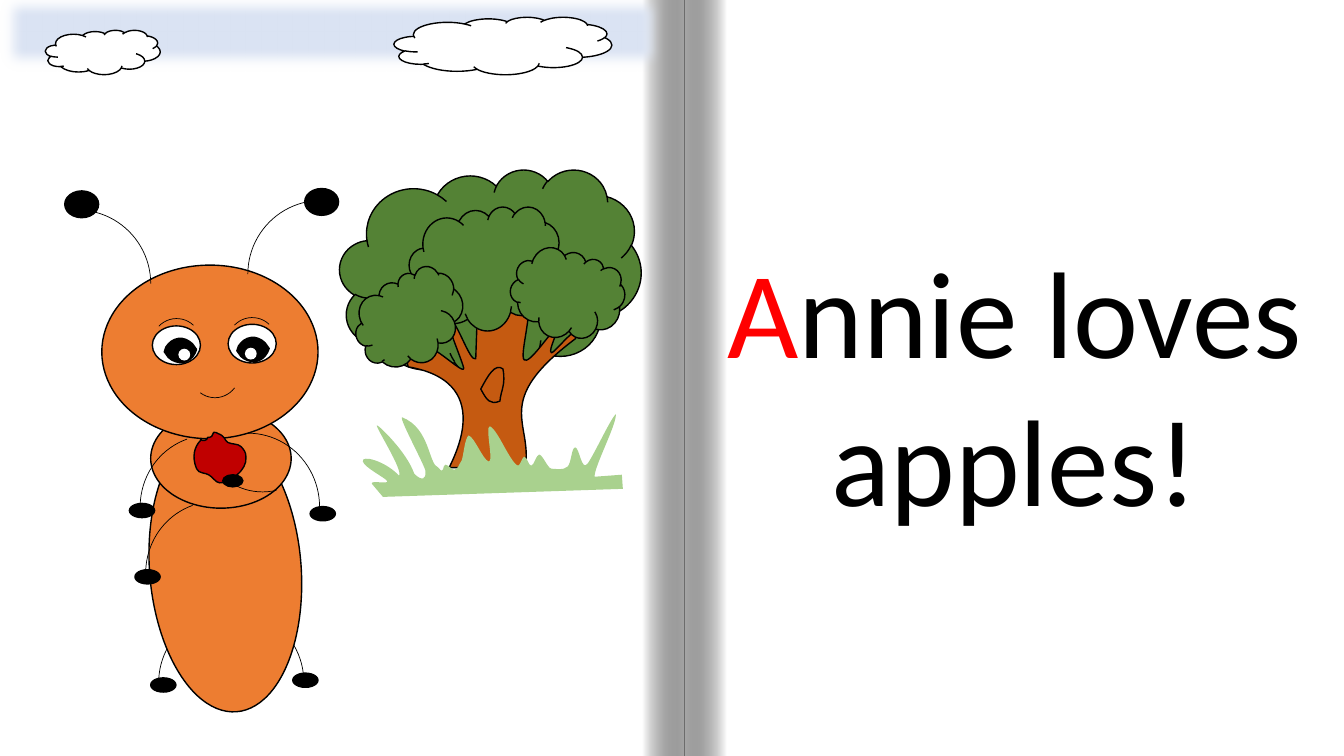
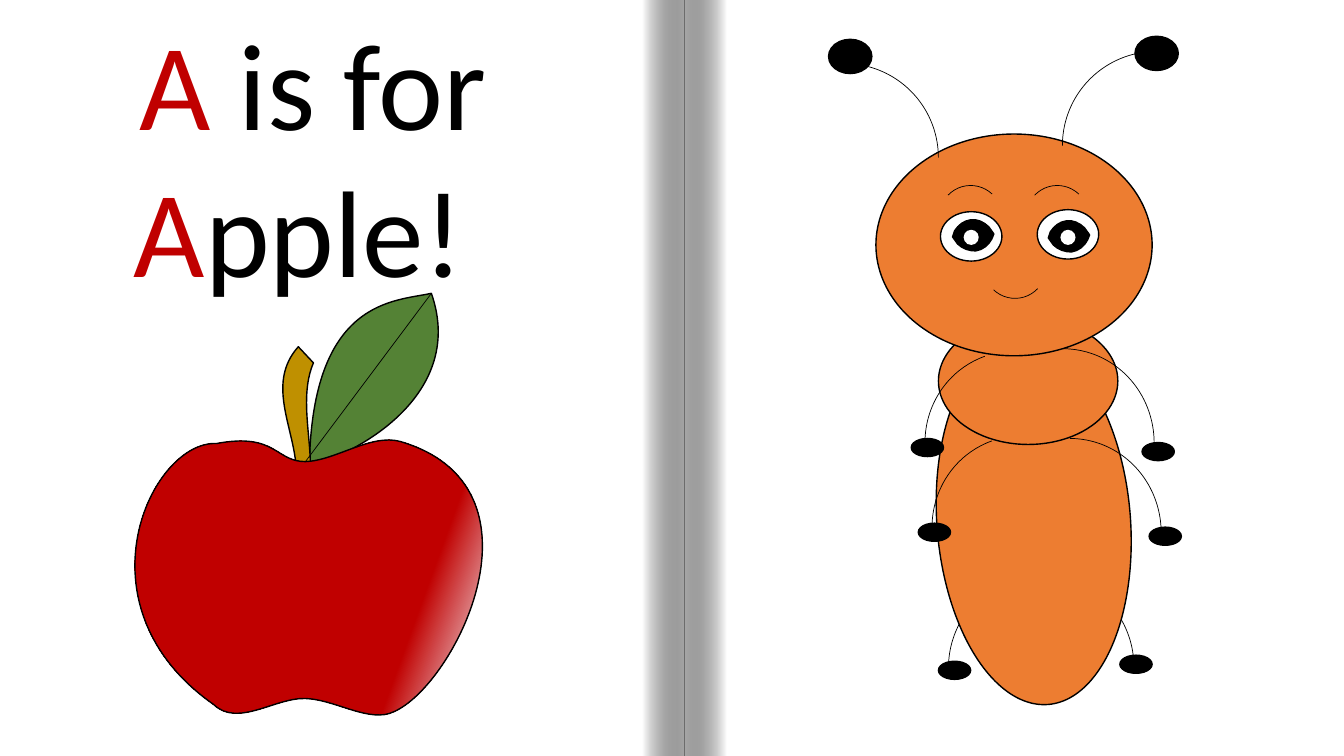
import math
import pptx
import pptx.util
import pptx.dml.color
import pptx.enum.shapes
import pptx.enum.text
import pptx.oxml
import pptx.oxml.ns

Inches = pptx.util.Inches
Pt = pptx.util.Pt
qn = pptx.oxml.ns.qn
PRESET = pptx.enum.shapes.MSO_SHAPE

COLOURS = {
    "white": "FFFFFF", "black": "000000", "letter": "FF0000", "apple": "C00000",
    "shine": "F6F8FC", "ant": "ED7D31", "leaf": "548235", "bark": "C55A11",
    "stem": "BF9000", "grass": "A9D18E", "sky": "DAE3F3",
}

# Outlines in inches: pairs are corners, sixes are curves (two handles, end)
TRUNK = [
    (4.74, 2.98), (5.21, 2.98), (5.31, 3.01, 5.15, 3.52, 5.2, 3.57),
    (5.25, 3.62, 5.44, 3.32, 5.5, 3.28), (5.57, 3.24, 5.43, 3.48, 5.47, 3.5),
    (5.5, 3.51, 5.77, 3.15, 5.71, 3.36), (4.87, 3.99, 5.29, 4.19, 5.21, 4.64),
    (4.46, 4.64), (4.42, 4.67, 4.99, 3.8, 4.05, 3.64),
    (4, 3.45, 4.11, 3.47, 4.18, 3.47), (4.2, 3.31, 4.62, 3.75, 4.6, 3.65),
    (4.58, 3.56, 4.41, 3.18, 4.46, 3.18), (4.52, 3.14, 4.66, 3.6, 4.72, 3.56),
    (4.74, 2.98),
]
KNOT = [
    (4.77, 3.86), (4.84, 3.73, 4.91, 3.6, 4.99, 3.66),
    (5.02, 3.82, 4.97, 3.87, 4.96, 3.98), (4.86, 4.02, 4.83, 3.97, 4.77, 3.86),
]
GRASS = [
    (3.69, 4.8), (3.67, 4.76, 3.87, 4.81, 3.84, 4.77),
    (3.82, 4.74, 3.62, 4.64, 3.6, 4.58), (3.58, 4.51, 3.82, 4.57, 3.96, 4.72),
    (4, 4.66, 3.72, 4.23, 3.74, 4.22), (3.76, 4.22, 4.04, 4.49, 4.11, 4.7),
    (4.19, 4.78, 4.23, 4.75, 4.22, 4.68), (4.25, 4.68, 3.95, 4.14, 3.99, 4.14),
    (4.27, 4.25, 4.25, 4.61, 4.35, 4.64), (4.41, 4.72, 4.39, 4.61, 4.42, 4.61),
    (4.45, 4.61, 4.49, 4.67, 4.51, 4.66), (4.55, 4.65, 4.55, 4.61, 4.58, 4.57),
    (4.6, 4.52, 4.61, 4.35, 4.65, 4.32), (4.71, 4.34, 4.79, 4.56, 4.85, 4.58),
    (4.9, 4.58, 4.81, 4.23, 4.86, 4.23), (4.94, 4.26, 5.06, 4.59, 5.14, 4.62),
    (5.16, 4.62, 5.18, 4.54, 5.2, 4.53), (5.24, 4.54, 5.24, 4.62, 5.27, 4.62),
    (5.3, 4.62, 5.32, 4.51, 5.35, 4.51), (5.39, 4.52, 5.43, 4.64, 5.47, 4.65),
    (5.51, 4.65, 5.59, 4.67, 5.63, 4.63), (5.67, 4.6, 5.67, 4.43, 5.71, 4.44),
    (5.75, 4.45, 5.77, 4.68, 5.83, 4.6), (5.89, 4.52, 6.06, 4.15, 6.11, 4.11),
    (6.12, 4.21, 5.89, 4.64, 5.9, 4.73), (6.17, 4.71), (6.18, 4.85), (3.8, 4.93),
    (3.69, 4.8),
]
BITTEN_APPLE = [
    (2.44, 4.53), (2.46, 4.67, 2.26, 4.8, 2.18, 4.79),
    (2.14, 4.79, 2.11, 4.73, 2.07, 4.71), (2.04, 4.69, 1.97, 4.7, 1.95, 4.65),
    (1.9, 4.53, 1.93, 4.43, 1.99, 4.37), (1.99, 4.36), (2.01, 4.37),
    (2.03, 4.37, 2.04, 4.37, 2.05, 4.36), (2.06, 4.34), (2.06, 4.34),
    (2.07, 4.34, 2.09, 4.34, 2.1, 4.33), (2.12, 4.29), (2.12, 4.29),
    (2.14, 4.29, 2.15, 4.29, 2.16, 4.3), (2.24, 4.33, 2.22, 4.36, 2.26, 4.39),
    (2.3, 4.41, 2.36, 4.4, 2.39, 4.43), (2.42, 4.46, 2.44, 4.49, 2.44, 4.53),
]
LEAF = [
    (3.07, 4.61), (3.1, 2.96, 3.92, 2.99, 4.28, 2.91),
    (4.65, 3.97, 3.41, 4.56, 3.07, 4.61),
]
STEM = [
    (2.96, 3.44), (3.11, 3.6), (2.97, 3.93, 3.09, 4.33, 3.08, 4.69),
    (2.94, 4.71), (2.95, 4.29, 2.62, 3.82, 2.96, 3.44),
]
APPLE = [
    (2.15, 4.4), (2.74, 4.29, 2.73, 4.58, 3.03, 4.58),
    (3.33, 4.57, 3.68, 4.3, 3.97, 4.38), (5.5, 4.83, 4.52, 6.79, 3.91, 7.06),
    (3.67, 7.18, 3.33, 6.94, 3.03, 6.93), (2.73, 6.92, 2.36, 7.22, 2.12, 6.99),
    (0.72, 6.01, 1.5, 4.37, 2.15, 4.4),
]
# Measured from the pupil's left corner
PUPIL = [
    (0, 0), (0.02, -0.06), (0.06, -0.12, 0.11, -0.16, 0.18, -0.17),
    (0.24, -0.18, 0.31, -0.15, 0.36, -0.1), (0.41, -0.03), (0.39, 0.02),
    (0.36, 0.08, 0.3, 0.13, 0.23, 0.14), (0.17, 0.14, 0.1, 0.12, 0.05, 0.07), (0, 0),
]


class Book:
    """Style and current spread of the picture book."""
    font, size = "Calibri", 88

    def __init__(self):
        self.deck = pptx.Presentation()
        self.deck.slide_width, self.deck.slide_height = Inches(40 / 3), Inches(7.5)
        self.slide = None

    def colour(self, name):
        return pptx.dml.color.RGBColor.from_string(COLOURS[name])

    def paint(self, shape, fill, line, width=1):
        shape.shadow.inherit = False
        if fill:
            shape.fill.solid()
            shape.fill.fore_color.rgb = self.colour(fill)
        else:
            shape.fill.background()
        if line:
            shape.line.color.rgb = self.colour(line)
            shape.line.width = Pt(width)
        else:
            shape.line.fill.background()
        return shape

    def gradient(self, shape, stops, angle):
        marks = "".join(
            f'<a:gs pos="{pos * 1000}"><a:srgbClr val="{COLOURS[name]}">'
            f'<a:alpha val="{alpha * 1000}"/></a:srgbClr></a:gs>'
            for pos, name, alpha in stops)
        blend = pptx.oxml.parse_xml(
            f'<a:gradFill {pptx.oxml.ns.nsdecls("a")} rotWithShape="1"><a:gsLst>{marks}'
            f'</a:gsLst><a:lin ang="{angle * 60000}" scaled="0"/></a:gradFill>')
        properties = shape._element.spPr
        properties.replace(properties.find(qn("a:solidFill")), blend)

    def soften(self, shape, points):
        effects = shape._element.spPr.find(qn("a:effectLst"))
        effects.append(effects.makeelement(qn("a:softEdge"), {"rad": str(Pt(points))}))

    def shape(self, preset, box, fill=None, line="black", width=1, turn=0, flip=False):
        shape = self.slide.shapes.add_shape(preset, *map(Inches, box))
        shape.rotation = turn
        if flip:
            shape._element.spPr.find(qn("a:xfrm")).set("flipH", "1")
        return self.paint(shape, fill, line, width)

    def oval(self, box, fill="black", line="black", turn=0):
        return self.shape(PRESET.OVAL, box, fill, line, turn=turn)

    def cloud(self, box, fill, turn=0):
        return self.shape(PRESET.CLOUD, box, fill, turn=turn)

    def arc(self, box, turn=0, flip=False, span=None):
        arc = self.shape(PRESET.ARC, box, width=0.5, turn=turn, flip=flip)
        if span:
            arc.adjustments[0], arc.adjustments[1] = span

    def outline(self, nodes, box, fill=None, line="black", turn=0):
        """Draw a curved outline; nodes are as seen, box is before turning."""
        left, top, width, height = box
        builder = self.slide.shapes.build_freeform(Inches(left), Inches(top))
        builder.add_line_segments([(Inches(left + width), Inches(top + height))])
        shape = builder.convert_to_shape()
        shape.rotation = turn
        cos, sin = math.cos(math.radians(turn)), math.sin(math.radians(turn))

        def local(x, y):
            x, y = x - left - width / 2, y - top - height / 2
            return x * cos + y * sin + width / 2, y * cos - x * sin + height / 2

        # Exchange the box's diagonal for corners and curves
        route = next(shape._element.iter(qn("a:path")))
        for segment in list(route):
            route.remove(segment)

        def add(tag, node=()):
            segment = route.makeelement(qn(tag), {})
            route.append(segment)
            for pair in zip(node[::2], node[1::2]):
                x, y = map(Inches, local(*pair))
                segment.append(segment.makeelement(qn("a:pt"), {"x": str(x), "y": str(y)}))

        add("a:moveTo", nodes[0])
        for node in nodes[1:]:
            add("a:lnTo" if len(node) == 2 else "a:cubicBezTo", node)
        add("a:close")
        return self.paint(shape, fill, line)

    def line(self, start, end):
        vein = self.slide.shapes.add_connector(
            pptx.enum.shapes.MSO_CONNECTOR.STRAIGHT, *map(Inches, start + end))
        vein.line.color.rgb = self.colour("black")
        vein.line.width = Pt(0.5)
        properties = vein._element.spPr
        properties.append(properties.makeelement(qn("a:effectLst"), {}))

    def text(self, box, runs):
        frame = self.slide.shapes.add_textbox(*map(Inches, box)).text_frame
        frame.word_wrap = True
        frame.auto_size = pptx.enum.text.MSO_AUTO_SIZE.SHAPE_TO_FIT_TEXT
        sentence = frame.paragraphs[0]
        sentence.alignment = pptx.enum.text.PP_ALIGN.CENTER
        for words, colour in runs:
            run = sentence.add_run()
            run.text = words
            run.font.name, run.font.size = self.font, Pt(self.size)
            run.font.color.rgb = self.colour(colour)

    def spread(self):
        """Start a slide with its left page and the shaded spine."""
        self.slide = self.deck.slides.add_slide(self.deck.slide_layouts[6])
        self.shape(PRESET.RECTANGLE, (0, 0, 6.37, 7.5), "white", None)
        for left, flip in ((6.79, False), (6.37, True)):
            shade = self.shape(PRESET.RECTANGLE, (left, 0, 0.42, 7.5), "white", None, flip=flip)
            self.gradient(shade, [(0, "white", 100), (100, "black", 34)], 180)

    def ant(self, left, top, scale, brows, pupils, glints, smile, smile_turn):
        """Draw the ant; left and top are the head's corner."""
        def place(x, y, w, h, origin=(left, top)):
            return origin[0] + x * scale, origin[1] + y * scale, w * scale, h * scale

        # Legs, body and head
        self.arc(place(0.72, 4.36, 1.87, 1.87), flip=True)
        self.arc(place(0.69, 4.35, 1.87, 1.87))
        self.oval(place(-0.25, 2.89, 3.63, 1.92), "ant", turn=85.5)
        self.oval(place(0.62, 1.82, 1.78, 1.26), "ant")
        self.oval(place(0, 0, 2.74, 2.2), "ant")
        # Arms and antennae
        self.arc(place(0.95, 2.13, 1.81, 1.87))
        for x, y in ((0.49, 2.15), (0.56, 2.99)):
            self.arc(place(x, y, 1.81, 1.87), 340.4, True, (162, 204.02))
        self.arc(place(1.85, -0.82, 1.87, 1.87), flip=True)
        self.arc(place(-1.25, -0.7, 1.87, 1.87))
        for x, y in ((2.57, -0.97), (-0.47, -0.94)):
            self.oval(place(x, y, 0.43, 0.34))
        for x, y in ((2.64, 3.06), (2.42, 5.17), (0.62, 5.23), (0.35, 3.02), (0.42, 3.86)):
            self.oval(place(x, y, 0.32, 0.18))
        # Face
        for brow in brows:
            self.arc(place(0, 0, 0.62, 0.62, brow), 43.5, True)
        for x, y in ((1.6, 0.75), (0.64, 0.77)):
            self.oval(place(x, y, 0.61, 0.49), "white")
        for corner in pupils:
            nodes = [tuple(corner[i % 2] + value * scale for i, value in enumerate(node))
                     for node in PUPIL]
            self.outline(nodes, place(0.05, -0.22, 0.31, 0.41, corner), "black", turn=262.1)
        for glint in glints:
            self.oval(place(0, 0, 0.15, 0.15, glint), "white", None)
        self.arc(place(0, 0, 0.62, 0.62, smile), smile_turn, True)


def main():
    book = Book()

    # Annie beside the apple tree
    book.spread()
    book.text((6.88, 2.29, 6.37, 3.06), [("A", "letter"), ("nnie loves apples!", "black")])
    book.cloud((3.37, 1.68, 2.99, 2.11), "leaf")
    book.outline(TRUNK, (4.03, 2.98, 1.68, 1.66), "bark")
    book.cloud((4.06, 2.05, 1.52, 1.23), "leaf")
    book.cloud((5.07, 2.48, 1.11, 0.89), "leaf", 26.5)
    book.cloud((3.51, 2.73, 1.11, 0.89), "leaf", 338.5)
    book.outline(GRASS, (3.6, 4.09, 2.56, 0.83), "grass", None, 356.8)
    book.outline(KNOT, (4.77, 3.65, 0.23, 0.34))
    sky = book.shape(PRESET.RECTANGLE, (-0.04, -0.11, 6.67, 0.85), "sky", "sky")
    book.soften(sky, 11)
    book.cloud((0.45, 0.3, 1.14, 0.44), "white")
    book.cloud((3.91, 0.17, 2.16, 0.57), "white")
    book.ant(1.01, 2.63, 0.783,
             brows=[(2.26, 3.15), (1.51, 3.16)], pupils=[(2.35, 3.48), (1.63, 3.49)],
             glints=[(2.43, 3.45), (1.77, 3.46)], smile=(1.89, 3.46), smile_turn=217)
    # Hand holding the apple
    book.arc((2.01, 3.69, 1.19, 1.19), 184.4, span=(151.32, 181.27))
    book.outline(BITTEN_APPLE, (1.92, 4.29, 0.5, 0.49), "apple", turn=50.6)
    book.oval((2.21, 4.71, 0.2, 0.12))

    # A is for Apple
    book.spread()
    book.text((-0.08, 0.02, 6.37, 3.06),
              [("A ", "apple"), ("is for ", "black"), ("A", "apple"), ("pple! ", "black")])
    book.outline(LEAF, (2.62, 3.27, 2.06, 0.96), "leaf", turn=313.1)
    book.outline(STEM, (2.82, 3.45, 0.33, 1.25), "stem", turn=354.2)
    apple = book.outline(APPLE, (1.34, 4.37, 3.45, 2.73), "apple")
    book.gradient(apple, [(0, "shine", 100), (23, "apple", 100)], 200)
    book.line((4.28, 2.91), (3.03, 4.58))
    book.ant(8.69, 1.33, 1,
             brows=[(10.18, 1.84), (9.32, 1.84)], pupils=[(10.4, 2.36), (9.45, 2.35)],
             glints=[(10.52, 2.28), (9.56, 2.28)], smile=(9.76, 2.34), smile_turn=223.5)
    # Lower right arm
    book.arc((9.71, 4.35, 1.81, 1.87))
    book.oval((11.4, 5.23, 0.32, 0.18))

    book.deck.save("out.pptx")


if __name__ == "__main__":
    main()
